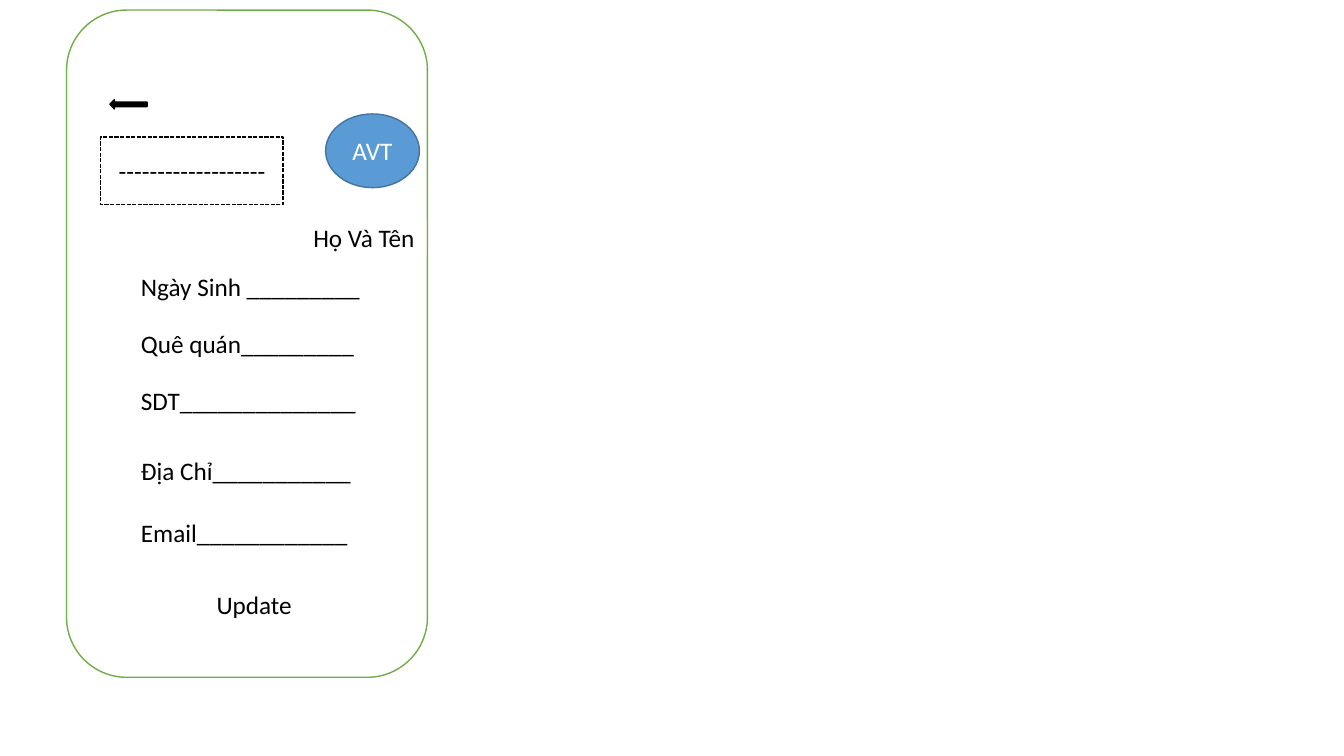
from dataclasses import dataclass

from pptx import Presentation
from pptx import util as u
from pptx.dml.color import RGBColor
from pptx.enum import dml, shapes, text


@dataclass(frozen=True)
class Theme:
    font: str = "Calibri"
    size: int = 18
    line_width: int = 1
    paper: str = "FFFFFF"
    ink: str = "000000"
    frame: str = "70AD47"
    avatar: str = "5B9BD5"
    avatar_line: str = "43739E"


THEME = Theme()
SHAPE = shapes.MSO_SHAPE
LEFT, CENTER = text.PP_ALIGN.LEFT, text.PP_ALIGN.CENTER


def set_text(sp, words, color, align):
    tf = sp.text_frame
    tf.word_wrap = True
    tf.vertical_anchor = text.MSO_ANCHOR.MIDDLE
    p = tf.paragraphs[0]
    p.text = words
    p.alignment = align
    font = p.runs[0].font
    font.name, font.size = THEME.font, u.Pt(THEME.size)
    font.color.rgb = RGBColor.from_string(color)


def add_shape(s, kind, box, fill, line=None):
    """Add a flat shape; box is left, top, width, height in points."""
    sp = s.shapes.add_shape(kind, *map(u.Pt, box))
    sp.shadow.inherit = False
    sp.fill.solid()
    sp.fill.fore_color.rgb = RGBColor.from_string(fill)
    if line:
        sp.line.color.rgb = RGBColor.from_string(line)
        sp.line.width = u.Pt(THEME.line_width)
    else:
        sp.line.fill.background()
    return sp


def add_label(s, box, words):
    sp = s.shapes.add_textbox(*map(u.Pt, box))
    set_text(sp, words, THEME.ink, LEFT)


def draw_header(s, box):
    """Back arrow, dashed title, avatar and name."""
    x, y, w, _ = box
    avatar = add_shape(s, SHAPE.OVAL, (x + w - 72.7, y + 74.2, 67, 52.6),
                       THEME.avatar, THEME.avatar_line)
    set_text(avatar, "AVT", THEME.paper, CENTER)

    title = add_shape(s, SHAPE.RECTANGLE, (x + 24.5, y + 90.7, 130.3, 48.2),
                      THEME.paper, THEME.ink)
    title.line.dash_style = dml.MSO_LINE.SQUARE_DOT
    set_text(title, "-" * 19, THEME.ink, CENTER)

    name = add_shape(s, SHAPE.RECTANGLE, (x + w - 88.6, y + 149.8, 87.8, 25.9),
                     THEME.paper)
    set_text(name, "Họ Và Tên", THEME.ink, LEFT)
    add_shape(s, SHAPE.LEFT_ARROW, (x + 31, y + 64.1, 26.6, 6.5),
              THEME.ink, THEME.ink)


def draw_fields(s, box):
    """Labels, each followed by a blank of the given number of underscores."""
    x, y, _, _ = box
    fields = [
        ("Ngày Sinh ", 9, 182.9),
        ("Quê quán", 9, 223.9),
        ("SDT", 14, 264.2),
        ("Địa Chỉ", 11, 314.6),
        ("Email", 12, 358.9),
    ]
    for label, blanks, top in fields:
        add_label(s, (x + 46.1, y + top, 180, 28.8), label + "_" * blanks)


def draw_profile_screen(s, box):
    x, y, _, _ = box
    add_shape(s, SHAPE.ROUNDED_RECTANGLE, box, THEME.paper, THEME.frame)
    draw_header(s, box)
    draw_fields(s, box)
    add_label(s, (x + 100.1, y + 410.4, 85, 28.8), "Update")


def main():
    prs = Presentation()
    prs.slide_width, prs.slide_height = u.Pt(960), u.Pt(540)
    s = prs.slides.add_slide(prs.slide_layouts[6])
    draw_profile_screen(s, (47.5, 7.2, 257.8, 476.6))
    prs.save("out.pptx")


if __name__ == "__main__":
    main()
